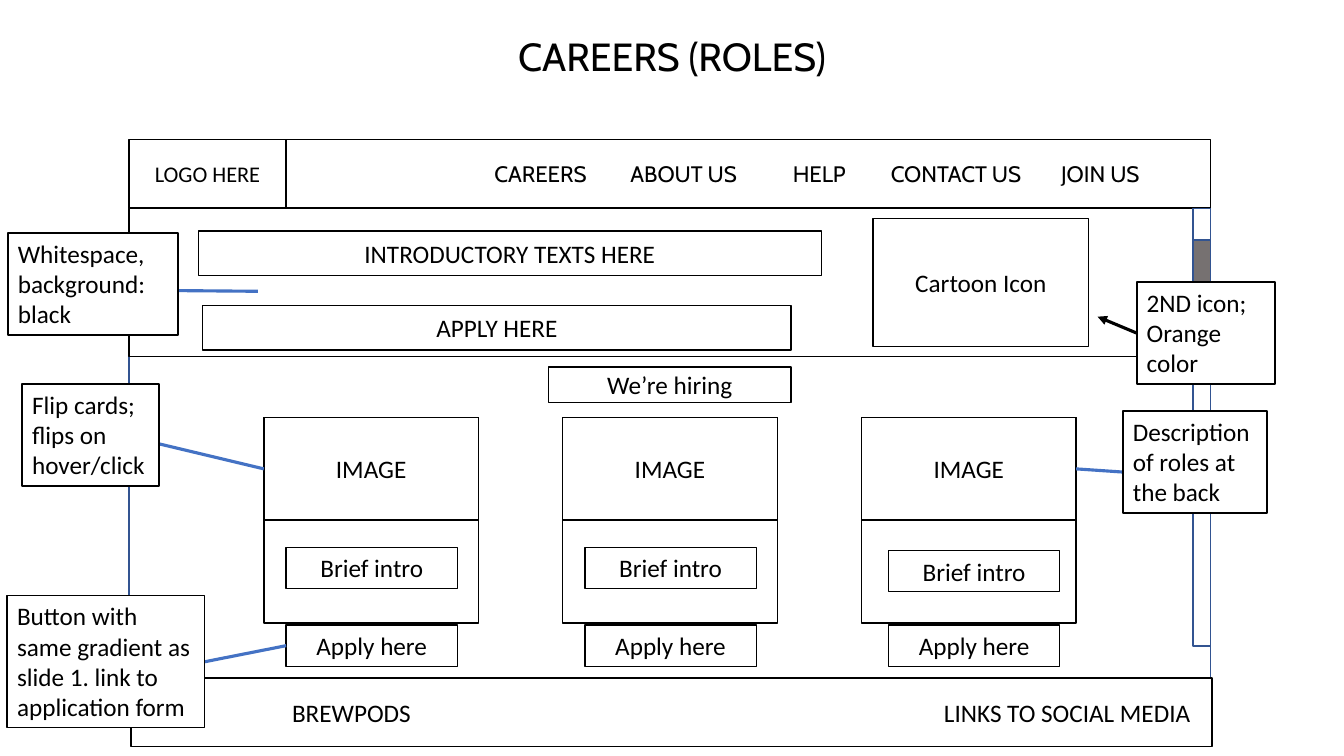
import pptx
import pptx.util
import pptx.dml.color
import pptx.enum.shapes
import pptx.enum.text
import pptx.oxml.ns
import lxml.etree

Cm = pptx.util.Cm
Pt = pptx.util.Pt
ALIGN = pptx.enum.text.PP_ALIGN
ANCHOR = pptx.enum.text.MSO_ANCHOR
INK = {"black": "000000", "white": "FFFFFF", "navy": "325491",
       "gray": "767171", "blue": "4472C4"}


def color(name):
    """Return the named colour."""
    return pptx.dml.color.RGBColor.from_string(INK[name])


def style(frame, size, font, align):
    """Format all text in a frame."""
    for para in frame.paragraphs:
        para.alignment = align
        for run in para.runs:
            run.font.size = Pt(size)
            run.font.name = font
            run.font.color.rgb = color("black")


def block(slide, box, text="", size=18, font="Calibri", align=ALIGN.CENTER,
          fill=None, edge="black"):
    """Draw an outlined rectangle with optional text."""
    shape = slide.shapes.add_shape(
        pptx.enum.shapes.MSO_SHAPE.RECTANGLE, *[Cm(n) for n in box])
    shape.shadow.inherit = False
    if fill:
        shape.fill.solid()
        shape.fill.fore_color.rgb = color(fill)
    else:
        shape.fill.background()
    shape.line.color.rgb = color(edge)
    shape.line.width = Pt(1)
    if text:
        frame = shape.text_frame
        frame.word_wrap = True
        frame.vertical_anchor = ANCHOR.MIDDLE
        frame.text = text
        style(frame, size, font, align)
    return shape


def bar(slide, box, items, stops, size, font):
    """Draw a box whose items start at tab stops."""
    shape = block(slide, box, "".join("\t" + item for item in items),
                  size, font, ALIGN.LEFT)
    props = shape.text_frame.paragraphs[0]._p.get_or_add_pPr()
    tabs = lxml.etree.SubElement(props, pptx.oxml.ns.qn("a:tabLst"))
    for stop in stops:
        lxml.etree.SubElement(tabs, pptx.oxml.ns.qn("a:tab"),
                              pos=str(Cm(stop)), algn="l")


def link(slide, start, end, ink="blue", arrow=False):
    """Draw a straight line, with an arrowhead if asked."""
    line = slide.shapes.add_connector(
        pptx.enum.shapes.MSO_CONNECTOR.STRAIGHT,
        *[Cm(n) for n in (*start, *end)])
    line.line.color.rgb = color(ink)
    line.line.width = Pt(2.25)
    props = line._element.spPr
    if arrow:
        lxml.etree.SubElement(props.find(pptx.oxml.ns.qn("a:ln")),
                              pptx.oxml.ns.qn("a:tailEnd"), type="triangle")
    lxml.etree.SubElement(props, pptx.oxml.ns.qn("a:effectLst"))
    return line


def note(slide, box, text):
    """Draw a white callout with text at its top left."""
    shape = block(slide, box, text, align=ALIGN.LEFT, fill="white")
    shape.text_frame.vertical_anchor = ANCHOR.TOP
    return shape


def title(slide, box, text):
    """Place the slide title."""
    shape = slide.shapes.title
    shape.left, shape.top, shape.width, shape.height = [Cm(n) for n in box]
    shape.text_frame.text = text
    shape.text_frame.vertical_anchor = ANCHOR.MIDDLE
    style(shape.text_frame, 28, "Cabin", ALIGN.CENTER)


def header(slide, box):
    """Draw the logo slot and the menu."""
    left, top, width, height = box
    slot = 3.96
    block(slide, (left, top, slot, height), "LOGO HERE", 16)
    bar(slide, (left + slot, top, width - slot, height),
        ["CAREERS", "ABOUT US", "HELP", "CONTACT US", "JOIN US"],
        [5, 8.43, 12.52, 14.99, 19.28], 16, "Cabin")


def hero(slide, box):
    """Draw the opening panel."""
    left, top, width, height = box
    block(slide, box)
    block(slide, (left + 1.75, top + 0.56, 15.7, 1.12),
          "INTRODUCTORY TEXTS HERE")
    block(slide, (left + 1.86, top + 2.44, 14.83, 1.12), "APPLY HERE")
    block(slide, (left + 18.75, top + 0.25, 5.44, 3.23), "Cartoon Icon")


def scroll(slide, box):
    """Draw the scroll bar."""
    left, top, width, height = box
    block(slide, box, fill="white", edge="navy")
    block(slide, (left, top + 0.79, width, 3), fill="gray", edge="navy")


def card(slide, box, inset, drop):
    """Draw a role card and return its image and button."""
    left, top, width, height = box
    block(slide, box)
    image = block(slide, (left, top, width, height / 2), "IMAGE")
    block(slide, (left + inset, top + 3.27 + drop, 4.32, 1.04), "Brief intro")
    button = block(slide, (left + inset, top + height + 0.05, 4.32, 1.04),
                   "Apply here")
    return image, button


def roles(slide, box):
    """Draw the hiring label and the row of cards."""
    left, top, width, height = box
    block(slide, (left + 7.17, top, 6.12, 0.89), "We’re hiring")
    pitch, wide, tall = 7.53, 5.41, 5.18
    return [card(slide, (left + i * pitch, top + height - tall, wide, tall),
                 inset, drop)
            for i, (inset, drop) in enumerate(
                [(0.56, 0), (0.56, 0), (0.68, 0.08)])]


def notes(slide, box, cards):
    """Draw the callouts and their lines."""
    left, top, width, height = box
    right = left + width
    first, button = cards[0]
    last = cards[-1][0]

    link(slide, (left + 6.32, top + 1.47), (left + 2.82, top + 1.44))
    note(slide, (left + 0.02, top, 4.29, 2.57),
         "Whitespace, background: black")

    line = link(slide, (left + 2.72, top + 5.05), (left + 6.47, top + 5.97))
    line.end_connect(first, 1)
    note(slide, (left + 0.38, top + 3.81, 3.45, 2.57),
         "Flip cards; flips on hover/click")

    line = link(slide, (left + 4.98, top + 10.8), (left + 7.03, top + 10.4))
    line.end_connect(button, 1)
    line.begin_connect(note(
        slide, (left, top + 9.14, 4.98, 3.33),
        "Button with same gradient as slide 1. link to application form"), 3)

    line = link(slide, (right - 3.48, top + 2.53), (right - 4.47, top + 2.11),
                "black", True)
    line.begin_connect(note(slide, (right - 3.48, top + 1.24, 3.48, 2.57),
                            "2ND icon; Orange\ncolor"), 1)

    line = link(slide, (right - 0.96, top + 6.22), (right - 5, top + 5.94))
    line.end_connect(last, 3)
    note(slide, (right - 3.83, top + 4.49, 3.63, 2.57),
         "Description of roles at the back")


def main():
    """Build and save the slide."""
    deck = pptx.Presentation()
    deck.slide_width, deck.slide_height = Cm(33.87), Cm(19.05)
    slide = deck.slides.add_slide(deck.slide_layouts[5])
    title(slide, (0, 0.41, 33.87, 1.98), "CAREERS (ROLES)")
    block(slide, (3.25, 5.26, 27.25, 11.81), edge="navy")
    header(slide, (3.25, 3.51, 27.25, 1.73))
    bar(slide, (3.3, 17.09, 27.25, 1.73),
        ["BREWPODS", "LINKS TO SOCIAL MEDIA"], [3.81, 20.24], 18, "Calibri")
    hero(slide, (3.25, 5.26, 26.82, 3.73))
    scroll(slide, (30.07, 5.26, 0.43, 11.02))
    cards = roles(slide, (6.65, 9.25, 20.47, 6.45))
    notes(slide, (0.18, 5.87, 31.95, 12.47), cards)
    deck.save("out.pptx")


if __name__ == "__main__":
    main()
